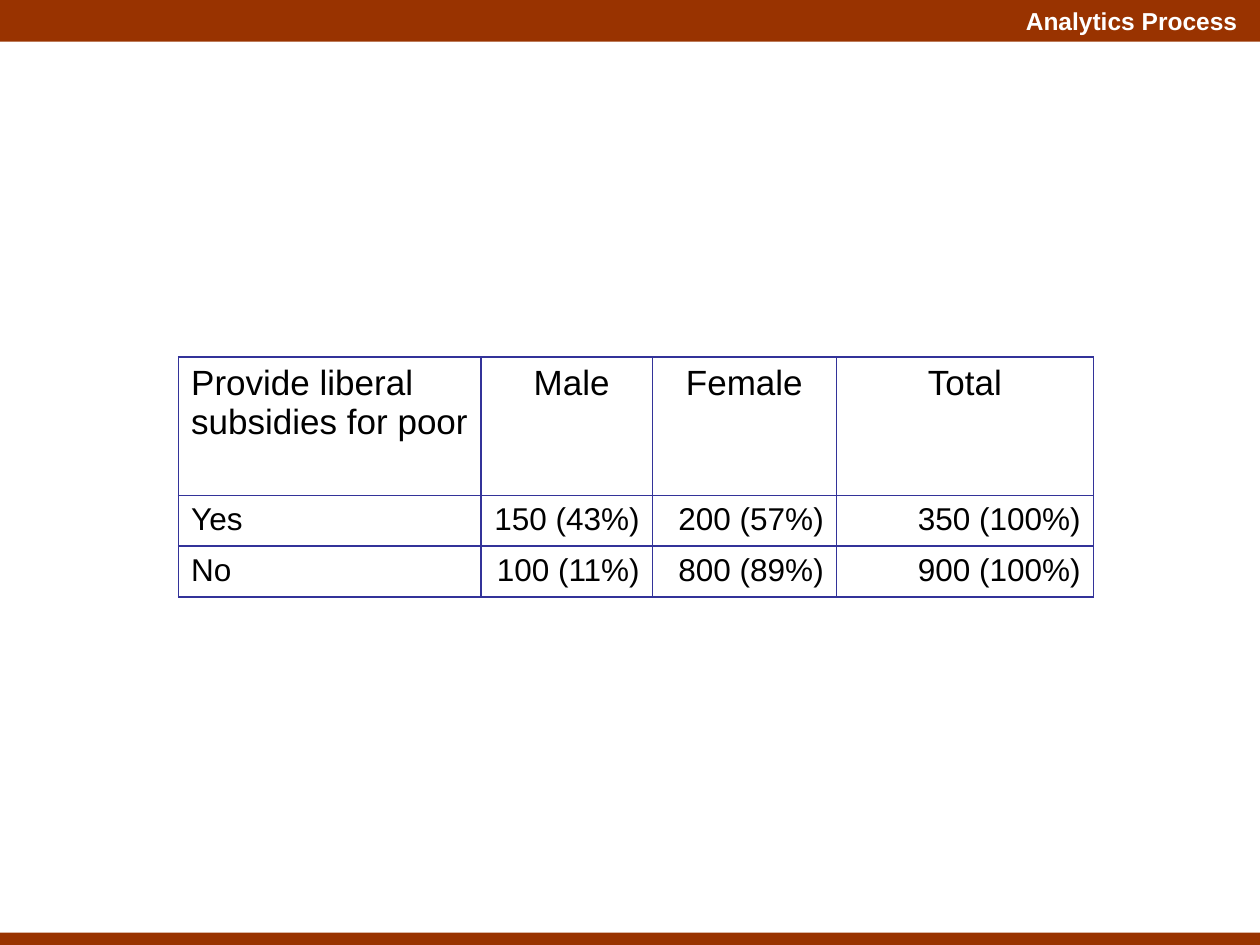
from lxml import etree
from pptx import Presentation
from pptx.dml.color import RGBColor
from pptx.enum.shapes import MSO_SHAPE
from pptx.enum.text import MSO_ANCHOR, PP_ALIGN
from pptx.oxml.ns import qn
from pptx.util import Cm, Pt

RECT = MSO_SHAPE.RECTANGLE
TOP, MIDDLE = MSO_ANCHOR.TOP, MSO_ANCHOR.MIDDLE
LEFT, CENTER, RIGHT = PP_ALIGN.LEFT, PP_ALIGN.CENTER, PP_ALIGN.RIGHT

RUST = RGBColor(0x99, 0x33, 0x00)
NAVY = RGBColor(0x33, 0x33, 0x99)
WHITE = RGBColor(0xFF, 0xFF, 0xFF)
BLACK = RGBColor(0x00, 0x00, 0x00)

SLIDE_W, SLIDE_H = 25.4, 19.05
HEADER_H, FOOTER_H = 0.84, 0.25
COL_WIDTHS = [6.1, 3.45, 3.71, 5.18]
ROW_HEIGHTS = [2.79, 1.02, 1.02]
ROWS = [
    ["Provide liberal subsidies for poor", " Male", "Female", "Total"],
    ["Yes", "150 (43%)", "200 (57%)", "350 (100%)"],
    ["No", "100 (11%)", "800 (89%)", "900 (100%)"],
]


def set_text(tf, text, align, size, color, bold=False):
    tf.word_wrap = True
    p = tf.paragraphs[0]
    p.alignment = align
    r = p.add_run()
    r.text = text
    font = {"name": "Arial", "size": Pt(size), "bold": bold}
    for name, value in font.items():
        setattr(r.font, name, value)
    r.font.color.rgb = color


def add_bar(slide, top, height):
    sp = slide.shapes.add_shape(RECT, 0, Cm(top), Cm(SLIDE_W), Cm(height))
    sp.shadow.inherit = False
    sp.fill.solid()
    sp.fill.fore_color.rgb = RUST
    sp.line.fill.background()


def set_title(slide, text):
    sp = slide.shapes.title
    box = {"left": Cm(14.58), "top": 0, "width": Cm(10.62), "height": Cm(HEADER_H)}
    for name, value in box.items():
        setattr(sp, name, value)
    tf = sp.text_frame
    frame = {"margin_top": 0, "margin_bottom": 0, "vertical_anchor": MIDDLE}
    for name, value in frame.items():
        setattr(tf, name, value)
    set_text(tf, text, RIGHT, 14, WHITE, bold=True)
    # Bring the title in front of the header bar
    slide.shapes._spTree.append(sp._element)


def set_borders(cell):
    tc_pr = cell._tc.get_or_add_tcPr()
    for i, side in enumerate(("a:lnL", "a:lnR", "a:lnT", "a:lnB")):
        ln = etree.Element(qn(side), w=str(Pt(1)))
        fill = etree.SubElement(ln, qn("a:solidFill"))
        etree.SubElement(fill, qn("a:srgbClr"), val=str(NAVY))
        tc_pr.insert(i, ln)


def add_survey_table(slide, left, top):
    table = slide.shapes.add_table(
        len(ROWS), len(COL_WIDTHS), Cm(left), Cm(top),
        Cm(sum(COL_WIDTHS)), Cm(sum(ROW_HEIGHTS))).table
    for column, width in zip(table.columns, COL_WIDTHS):
        column.width = Cm(width)
    for row, height in zip(table.rows, ROW_HEIGHTS):
        row.height = Cm(height)
    for i, texts in enumerate(ROWS):
        for j, text in enumerate(texts):
            cell = table.cell(i, j)
            cell.vertical_anchor = TOP
            cell.fill.background()
            set_borders(cell)
            align = LEFT if j == 0 else CENTER if i == 0 else RIGHT
            set_text(cell.text_frame, text, align, 20 if i == 0 else 18, BLACK)


def main():
    prs = Presentation()
    prs.slide_width, prs.slide_height = Cm(SLIDE_W), Cm(SLIDE_H)
    slide = prs.slides.add_slide(prs.slide_layouts[5])

    # Header and footer
    add_bar(slide, 0, HEADER_H)
    add_bar(slide, SLIDE_H - FOOTER_H, FOOTER_H)
    set_title(slide, "Analytics Process")

    # Survey answers by gender
    add_survey_table(slide, 3.6, 7.2)

    prs.save("out.pptx")


main()
